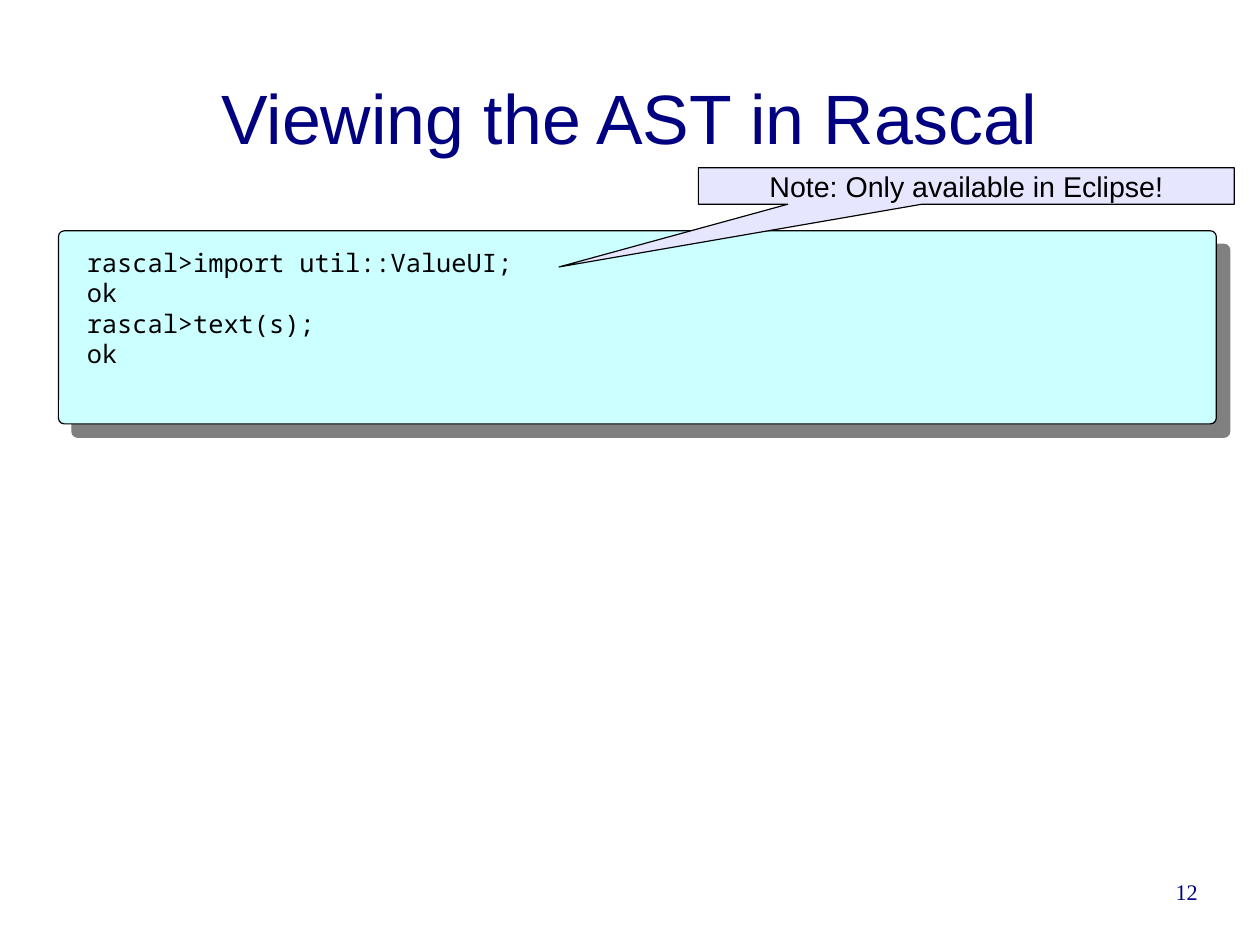
import lxml.etree
import pptx
import pptx.dml.color
import pptx.enum.shapes
import pptx.enum.text
import pptx.oxml
import pptx.oxml.ns
import pptx.util

Cm = pptx.util.Cm
Pt = pptx.util.Pt
RGBColor = pptx.dml.color.RGBColor
MSO_SHAPE = pptx.enum.shapes.MSO_SHAPE
MSO_ANCHOR = pptx.enum.text.MSO_ANCHOR
PP_ALIGN = pptx.enum.text.PP_ALIGN

NAVY = RGBColor(0x00, 0x00, 0x80)
BLACK = RGBColor(0x00, 0x00, 0x00)
CYAN = RGBColor(0xCC, 0xFF, 0xFF)
LAVENDER = RGBColor(0xE6, 0xE6, 0xFF)
GREY = RGBColor(0x80, 0x80, 0x80)

SESSION = """rascal>import util::ValueUI;
ok
rascal>text(s);
ok"""


def write_text(sp, text, font="Arial", size=18, color=BLACK, align=PP_ALIGN.LEFT,
               anchor=MSO_ANCHOR.TOP, inset=(0.25, 0.13), wrap=True):
    """Fill a shape with one paragraph per line of text; inset is (x, y) in cm."""
    tf = sp.text_frame
    tf.word_wrap = wrap
    tf.vertical_anchor = anchor
    tf.margin_left = tf.margin_right = Cm(inset[0])
    tf.margin_top = tf.margin_bottom = Cm(inset[1])
    tf.text = text
    for p in tf.paragraphs:
        p.alignment = align
        for r in p.runs:
            r.font.name = font
            r.font.size = Pt(size)
            r.font.color.rgb = color


def add_box(s, kind, left, top, width, height, adjustments, fill, line_width):
    sp = s.shapes.add_shape(kind, Cm(left), Cm(top), Cm(width), Cm(height))
    sp.shadow.inherit = False
    for i, value in enumerate(adjustments):
        sp.adjustments[i] = value
    sp.fill.solid()
    sp.fill.fore_color.rgb = fill
    sp.line.color.rgb = BLACK
    sp.line.width = Pt(line_width)
    return sp


def add_hard_shadow(sp, color, distance, degrees):
    qn = pptx.oxml.ns.qn
    effects = sp.element.spPr.find(qn("a:effectLst"))
    shadow = lxml.etree.SubElement(
        effects, qn("a:outerShdw"), blurRad="0", dist=str(Pt(distance)),
        dir=str(degrees * 60000), algn="tl", rotWithShape="0")
    lxml.etree.SubElement(shadow, qn("a:srgbClr"), val=str(color))


def add_label(s, left, top, width, height, text, **fmt):
    sp = s.shapes.add_textbox(Cm(left), Cm(top), Cm(width), Cm(height))
    write_text(sp, text, **fmt)


def set_title(s, text):
    sp = s.shapes.title
    sp.left, sp.top, sp.width, sp.height = Cm(1.4), Cm(0.84), Cm(25.2), Cm(3.51)
    write_text(sp, text, size=44, color=NAVY, align=PP_ALIGN.CENTER,
               anchor=MSO_ANCHOR.MIDDLE, inset=(0, 0))


def main():
    prs = pptx.Presentation()
    prs.slide_width, prs.slide_height = Cm(28), Cm(21)
    s = prs.slides.add_slide(prs.slide_layouts[5])

    set_title(s, "Viewing the AST in Rascal")

    panel = add_box(s, MSO_SHAPE.ROUNDED_RECTANGLE, 1.3, 5.13, 25.73, 4.29,
                    [0.03], CYAN, 0.75)
    add_hard_shadow(panel, GREY, 12, 45)

    note = add_box(s, MSO_SHAPE.RECTANGULAR_CALLOUT, 15.52, 3.73, 11.91, 0.81,
                   [-0.76, 2.22], LAVENDER, 0)
    write_text(note, "Note: Only available in Eclipse!", align=PP_ALIGN.CENTER,
               anchor=MSO_ANCHOR.MIDDLE, wrap=False)

    add_label(s, 1.68, 5.36, 25.25, 3.8, SESSION, font="Noto Sans Mono", size=16)
    add_label(s, 20.09, 19.51, 6.53, 1.45, "12", font="Times New Roman", size=14,
              color=NAVY, align=PP_ALIGN.RIGHT, inset=(0, 0))

    prs.save("out.pptx")


if __name__ == "__main__":
    main()
